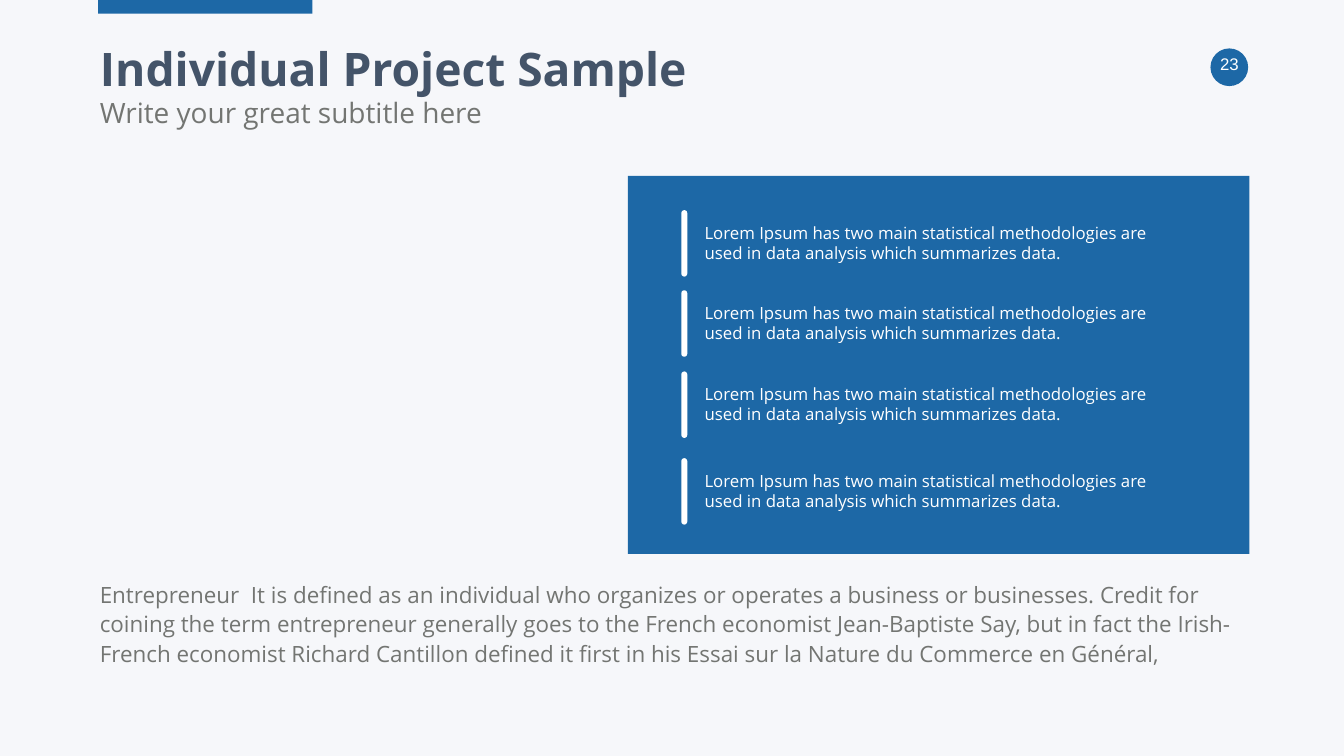
import pptx
import pptx.util
import pptx.dml.color
import pptx.enum.shapes
import pptx.enum.text

Cm = pptx.util.Cm
RGBColor = pptx.dml.color.RGBColor
SHAPE = pptx.enum.shapes.MSO_SHAPE
ALIGN = pptx.enum.text.PP_ALIGN
FIT = pptx.enum.text.MSO_AUTO_SIZE

PAPER = RGBColor(0xF6, 0xF7, 0xFA)
BLUE = RGBColor(0x1D, 0x68, 0xA6)
NAVY = RGBColor(0x44, 0x54, 0x69)
GRAY = RGBColor(0x73, 0x75, 0x72)
WHITE = RGBColor(0xFF, 0xFF, 0xFF)

LEFT, WIDE = 4.78, 58.17
BAR_TOPS = [10.59, 14.63, 18.72, 23.09]
POINT = ("Lorem Ipsum has two main statistical methodologies are "
         "used in data analysis which summarizes data.")
BODY = ("Entrepreneur  It is defined as an individual who organizes or operates "
        "a business or businesses. Credit for coining the term entrepreneur "
        "generally goes to the French economist Jean-Baptiste Say, but in fact "
        "the Irish-French economist Richard Cantillon defined it first in his "
        "Essai sur la Nature du Commerce en Général,")


class Page:
    """Holds the slide and the style shared by its elements."""

    def __init__(self, slide, font="Open Sans"):
        self.slide = slide
        self.font = font
        fill = slide.background.fill
        fill.solid()
        fill.fore_color.rgb = PAPER

    def block(self, kind, x, y, w, h, color):
        shape = self.slide.shapes.add_shape(kind, Cm(x), Cm(y), Cm(w), Cm(h))
        shape.shadow.inherit = False
        shape.fill.solid()
        shape.fill.fore_color.rgb = color
        shape.line.fill.background()
        return shape

    def label(self, shape, text, size, color, bold=False, font=None,
              align=ALIGN.LEFT, space=None):
        """Fill a text shape with one styled paragraph."""
        frame = shape.text_frame
        frame.text = text
        frame.word_wrap = True
        frame.auto_size = FIT.NONE
        frame.vertical_anchor = pptx.enum.text.MSO_ANCHOR.TOP
        para = frame.paragraphs[0]
        para.alignment = align
        if space:
            para.line_spacing = space
        style = para.runs[0].font
        style.name = font or self.font
        style.size = pptx.util.Pt(size)
        style.bold = bold
        style.color.rgb = color

    def title(self, text, x, y, w, h):
        shape = self.slide.shapes.title
        shape.left, shape.top, shape.width, shape.height = Cm(x), Cm(y), Cm(w), Cm(h)
        self.label(shape, text, 66, NAVY, bold=True)

    def text(self, text, x, y, w, h, size, color, **style):
        box = self.slide.shapes.add_textbox(Cm(x), Cm(y), Cm(w), Cm(h))
        self.label(box, text, size, color, **style)
        return box.text_frame

    def point(self, text, y):
        """Draw a rounded bar with its text on the right."""
        bar = self.block(SHAPE.ROUND_2_SAME_RECTANGLE, 34.34, y, 0.3, 3.35, WHITE)
        bar.adjustments[0] = bar.adjustments[1] = 0.5
        frame = self.text(text, 34.9, y + 0.32, 24.28, 2.67, 24, WHITE)
        frame.margin_left = frame.margin_right = Cm(0.61)
        frame.margin_top = frame.margin_bottom = Cm(0.3)
        frame.auto_size = FIT.SHAPE_TO_FIT_TEXT


def main():
    deck = pptx.Presentation()
    deck.slide_width, deck.slide_height = Cm(67.74), Cm(38.1)
    page = Page(deck.slides.add_slide(deck.slide_layouts[5]))

    page.block(SHAPE.OVAL, 61.01, 2.44, 1.9, 1.9, BLUE)
    page.text("23", 60.48, 2.59, 2.97, 2.03, 24, WHITE,
              font="Arial", align=ALIGN.CENTER)
    page.block(SHAPE.RECTANGLE, 4.95, 0, 10.8, 0.69, BLUE)

    page.title("Individual Project Sample", LEFT, 1.88, WIDE, 3.15)
    page.text("Write your great subtitle here", LEFT, 4.67, WIDE, 2.36, 40, GRAY)

    page.block(SHAPE.RECTANGLE, 31.65, 8.86, 31.32, 19.05, BLUE)
    page.text(BODY, LEFT, 29.01, WIDE, 6.4, 32, GRAY, space=1.1)
    for top in BAR_TOPS:
        page.point(POINT, top)

    deck.save("out.pptx")


if __name__ == "__main__":
    main()
